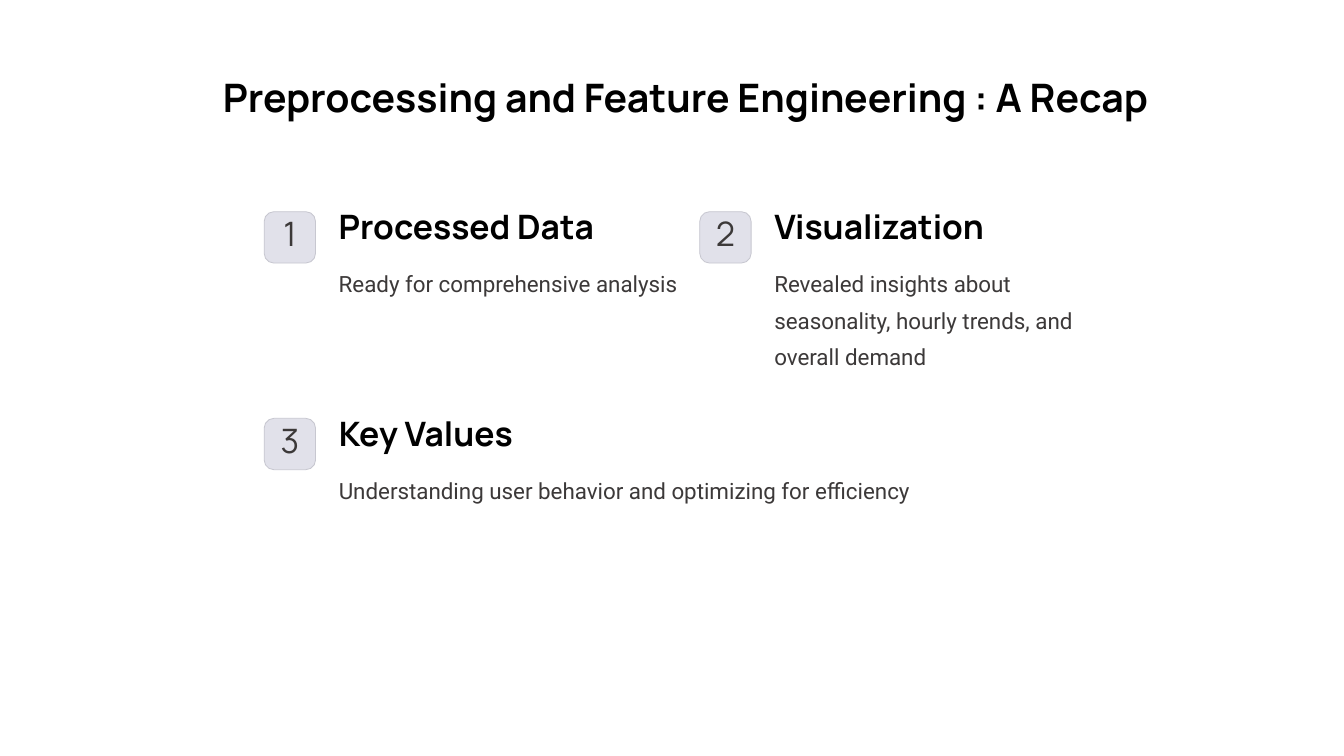
from pptx import Presentation
from pptx.dml.color import RGBColor
from pptx.enum.shapes import MSO_SHAPE
from pptx.enum.text import MSO_ANCHOR, MSO_AUTO_SIZE, PP_ALIGN
from pptx.util import Pt

PX = 9144  # 100 px to the inch
COLORS = {
    "background": "FFFFFF",
    "heading": "000000",
    "body": "3C3939",
    "badge": "E1E1EA",
    "badge_line": "C7C7D0",
}
HEADING_FONT = "Manrope"
BODY_FONT = "Roboto"

TITLE = "Preprocessing and Feature Engineering : A Recap"
TITLE_BOX = (211, 44, 938, 82)
LEFT, TOP = 262, 210
COLUMN_STEP, ROW_STEP = 432, 205
BADGE_SIZE = 51
TEXT_OFFSET = 74
COLUMN_TEXT, FULL_TEXT = 336, 768

# number, heading, body, column, row, text width, body height
POINTS = [
    ("1", "Processed Data", "Ready for comprehensive analysis",
     0, 0, COLUMN_TEXT, 72),
    ("2", "Visualization",
     "Revealed insights about seasonality, hourly trends, and overall demand",
     1, 0, COLUMN_TEXT, 109),
    ("3", "Key Values",
     "Understanding user behavior and optimizing for efficiency",
     0, 1, FULL_TEXT, 36),
]


def color(name):
    return RGBColor.from_string(COLORS[name])


def write(shape, text, size, spacing, font, color_name, bold=False,
          align=PP_ALIGN.LEFT, margins=(0, 0, 0, 0), wrap=True):
    """Fill a shape with one top-anchored paragraph; spacing is in points."""
    frame = shape.text_frame
    frame.auto_size = MSO_AUTO_SIZE.NONE
    frame.word_wrap = wrap
    frame.vertical_anchor = MSO_ANCHOR.TOP
    (frame.margin_left, frame.margin_top,
     frame.margin_right, frame.margin_bottom) = [m * PX for m in margins]
    para = frame.paragraphs[0]
    para.alignment = align
    para.line_spacing = Pt(spacing)
    para.space_before = Pt(0)
    span = para.add_run()
    span.text = text
    span.font.size = Pt(size)
    span.font.name = font
    span.font.bold = bold
    span.font.color.rgb = color(color_name)


def add_title(page, box):
    title = page.shapes.title
    title.left, title.top, title.width, title.height = [n * PX for n in box]
    write(title, TITLE, 28, 50.5, HEADING_FONT, "heading", bold=True,
          margins=(10, 5, 10, 5), wrap=False)


def add_badge(page, left, top, number):
    badge = page.shapes.add_shape(
        MSO_SHAPE.ROUNDED_RECTANGLE,
        left * PX, top * PX, BADGE_SIZE * PX, BADGE_SIZE * PX)
    badge.adjustments[0] = 0.19
    badge.shadow.inherit = False
    badge.fill.solid()
    badge.fill.fore_color.rgb = color("badge")
    badge.line.color.rgb = color("badge_line")
    badge.line.width = Pt(0.6)
    write(badge, number, 24, 24, HEADING_FONT, "body",
          align=PP_ALIGN.CENTER, margins=(0, 5, 0, 0))


def add_text(page, box, *content, **style):
    write(page.shapes.add_textbox(*[n * PX for n in box]), *content, **style)


def add_point(page, box, number, heading, body):
    """Place a numbered badge with its heading and body text in the box."""
    left, top, width, height = box
    text_left, text_width = left + TEXT_OFFSET, width - TEXT_OFFSET
    add_badge(page, left, top, number)
    add_text(page, (text_left, top, text_width, 35),
             heading, 24, 25, HEADING_FONT, "heading", bold=True)
    add_text(page, (text_left, top + 49, text_width, height - 49),
             body, 16, 26, BODY_FONT, "body")


def main():
    deck = Presentation()
    deck.slide_width, deck.slide_height = 1333 * PX, 750 * PX
    page = deck.slides.add_slide(deck.slide_layouts.get_by_name("Title Only"))
    page.background.fill.solid()
    page.background.fill.fore_color.rgb = color("background")
    add_title(page, TITLE_BOX)
    for number, heading, body, column, row, width, height in POINTS:
        box = (LEFT + column * COLUMN_STEP, TOP + row * ROW_STEP,
               TEXT_OFFSET + width, 49 + height)
        add_point(page, box, number, heading, body)
    deck.save("out.pptx")


if __name__ == "__main__":
    main()
